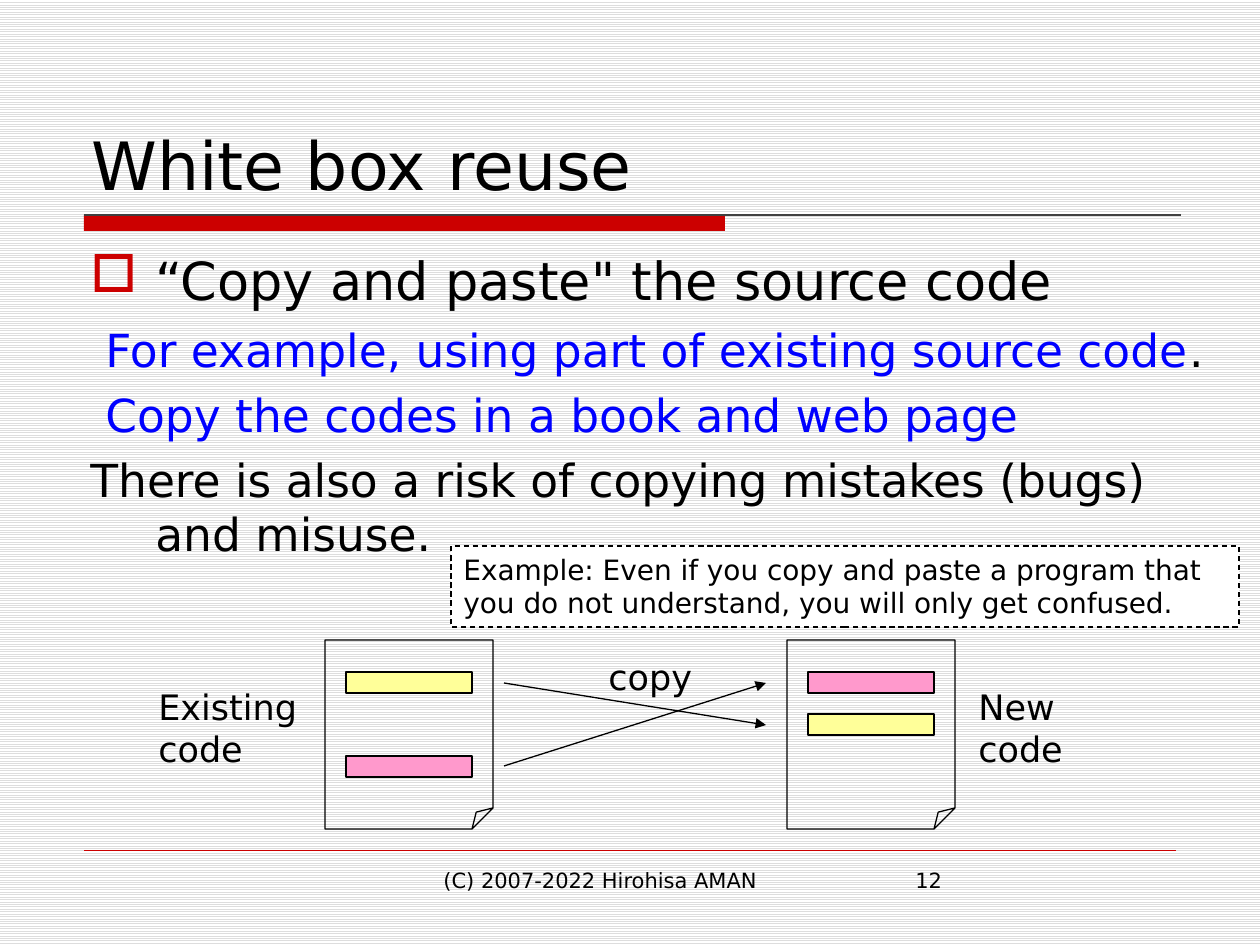
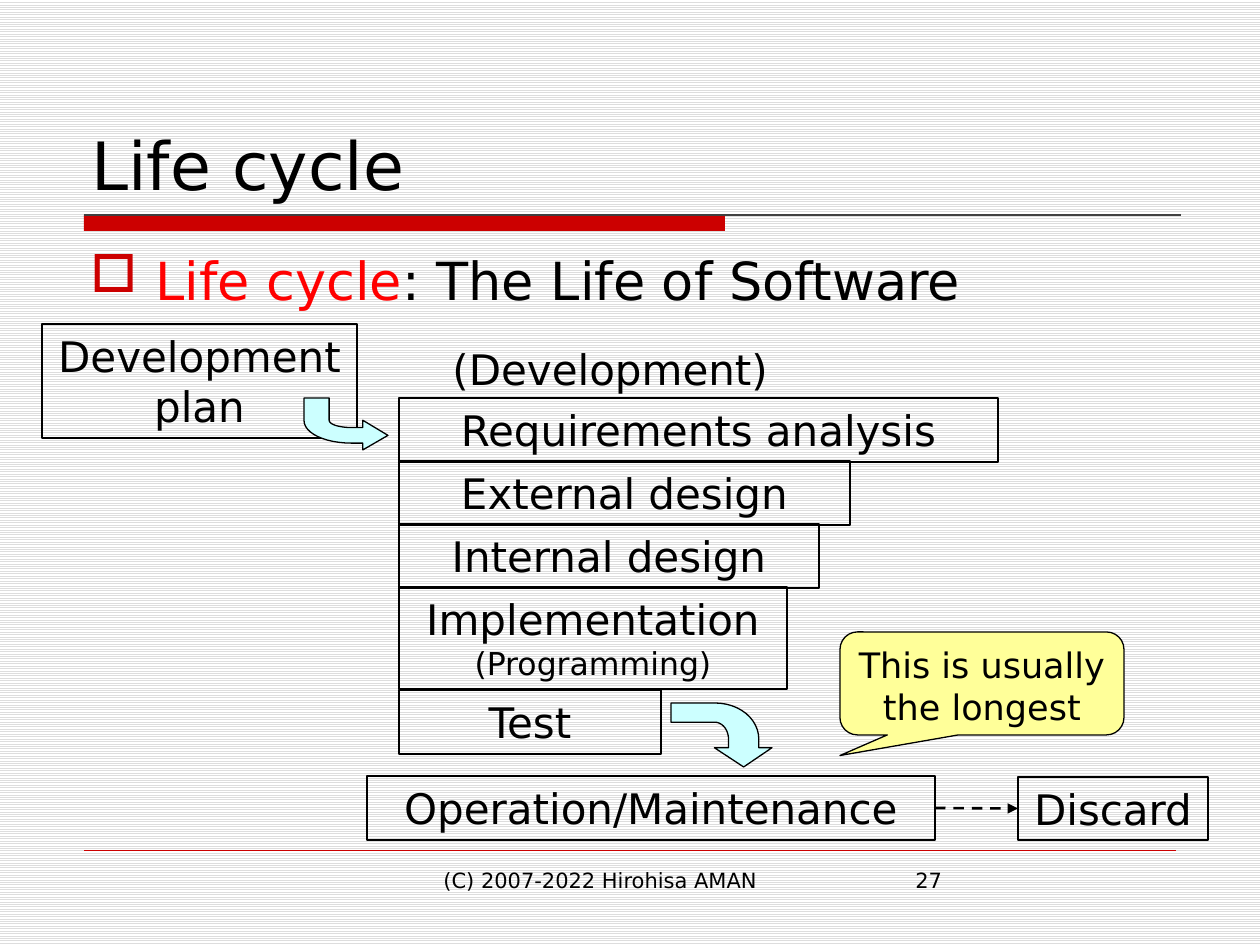
"""Build two lecture slides on code reuse and the software life cycle."""
import pptx
import pptx.util
import pptx.dml.color
import pptx.enum.dml
import pptx.enum.shapes
import pptx.enum.text
import pptx.oxml
import pptx.oxml.ns

RGB = pptx.dml.color.RGBColor
SHAPE = pptx.enum.shapes.MSO_SHAPE
ALIGN = pptx.enum.text.PP_ALIGN
ANCHOR = pptx.enum.text.MSO_ANCHOR
DASH = pptx.enum.dml.MSO_LINE.DASH

BLACK = RGB(0x00, 0x00, 0x00)
WHITE = RGB(0xFF, 0xFF, 0xFF)
STRIPE = RGB(0xDD, 0xDD, 0xDD)
RULE = RGB(0x40, 0x40, 0x40)
CRIMSON = RGB(0xCC, 0x00, 0x00)
RED = RGB(0xFF, 0x00, 0x00)
BLUE = RGB(0x00, 0x00, 0xFF)
YELLOW = RGB(0xFF, 0xFF, 0x99)
PINK = RGB(0xFF, 0x99, 0xCC)
CYAN = RGB(0xCC, 0xFF, 0xFF)

FONT = "DejaVu Sans"
SCALE = 914400 / 126
HANG = 65

REUSE_BODY = [
    {"runs": [("“Copy and paste\" the source code", BLACK)], "size": 30, "bullet": True},
    {"runs": [("For example, using part of existing source code", BLUE), (".", BLACK)],
     "size": 26, "start": 15},
    {"runs": [("Copy the codes in a book and web page", BLUE)], "size": 26, "start": 15},
    {"runs": [("There is also a risk of copying mistakes (bugs) and misuse.", BLACK)],
     "size": 26},
]
CYCLE_BODY = [
    {"runs": [("Life cycle", RED), (": The Life of Software", BLACK)], "size": 30,
     "bullet": True},
]

PAGE_TOP = 640
PAGES = [
    (325, [(32, YELLOW), (116, PINK)]),
    (787, [(32, PINK), (74, YELLOW)]),
]
COPY_ARROWS = [((504, 766), (766, 683)), ((504, 683), (766, 725))]
REUSE_LABELS = [
    (["Existing", "code"], (146, 679, 165, 97)),
    (["New", "code"], (966, 679, 112, 97)),
    (["copy"], (596, 649, 117, 54)),
]
WARNING = ("Example: Even if you copy and paste a program that you do not understand, "
           "you will only get confused.")

STAGE_LEFT = 399
STAGES = [
    (["Requirements analysis"], 398, 599, 64),
    (["External design"], 461, 451, 64),
    (["Internal design"], 524, 420, 64),
    (["Implementation", "(Programming)"], 587, 388, 102),
    (["Test"], 690, 262, 64),
]

OUTER_BEND = [(.87, .57), (.87, .25), (.68, 0), (.43, 0)]
INNER_BEND = [(.43, .3), (.51, .3), (.57, .42), (.57, .57)]


def px(n):
    return pptx.util.Emu(round(n * SCALE))


def style(p, size, color=BLACK):
    for r in p.runs:
        r.font.name = FONT
        r.font.size = pptx.util.Pt(size)
        r.font.color.rgb = color


def write(sp, lines, size, align=ALIGN.LEFT, wrap=True, anchor=ANCHOR.TOP):
    tf = sp.text_frame
    tf.word_wrap = wrap
    tf.vertical_anchor = anchor
    tf.text = "\n".join(lines)
    for p in tf.paragraphs:
        p.alignment = align
        style(p, size)


def text(s, lines, box, size, **options):
    sp = s.shapes.add_textbox(*map(px, box))
    write(sp, lines, size, **options)


def paint(sp, fill=None, line=BLACK):
    sp.shadow.inherit = False
    if fill is None:
        sp.fill.background()
    else:
        sp.fill.solid()
        sp.fill.fore_color.rgb = fill
    if line is None:
        sp.line.fill.background()
    else:
        sp.line.color.rgb = line
        sp.line.width = pptx.util.Pt(0.75)


def shape(s, kind, box, fill=None, line=BLACK):
    sp = s.shapes.add_shape(kind, *map(px, box))
    paint(sp, fill, line)
    return sp


def boxed(s, lines, box, size=24):
    sp = shape(s, SHAPE.RECTANGLE, box)
    write(sp, lines, size, align=ALIGN.CENTER)
    return sp


def element(tag, attributes="", inner=""):
    ns = pptx.oxml.ns.nsdecls("a")
    return pptx.oxml.parse_xml(f"<a:{tag} {ns} {attributes}>{inner}</a:{tag}>")


def connect(s, start, end, color=BLACK, width=0.75, arrow=False):
    cx = s.shapes.add_connector(pptx.enum.shapes.MSO_CONNECTOR.STRAIGHT,
                                *map(px, start + end))
    cx.line.color.rgb = color
    cx.line.width = pptx.util.Pt(width)
    spPr = cx._element.spPr
    if arrow:
        ln = spPr.find(pptx.oxml.ns.qn("a:ln"))
        ln.append(element("tailEnd", 'type="triangle"'))
    spPr.append(element("effectLst"))
    return cx


def body(s, paragraphs, width):
    tf = s.shapes.add_textbox(*map(px, (78, 242, width, 588))).text_frame
    tf.word_wrap = True
    for i, item in enumerate(paragraphs):
        p = tf.paragraphs[0] if i == 0 else tf.add_paragraph()
        p.space_before = pptx.util.Pt(6)
        for words, color in item["runs"]:
            r = p.add_run()
            r.text = words
            r.font.name = FONT
            r.font.size = pptx.util.Pt(item["size"])
            r.font.color.rgb = color
        pPr = p._p.get_or_add_pPr()
        pPr.set("marL", str(px(HANG)))
        pPr.set("indent", str(px(item.get("start", 0) - HANG)))
        if item.get("bullet"):
            pPr.append(element("buClr", inner=f'<a:srgbClr val="{CRIMSON}"/>'))
            pPr.append(element("buChar", 'char="□"'))


def bezier(points, steps=12):
    def at(t, k):
        a, b, c, d = (pt[k] for pt in points)
        u = 1 - t
        return u**3 * a + 3 * u * u * t * b + 3 * u * t * t * c + t**3 * d
    return [(at(i / steps, 0), at(i / steps, 1)) for i in range(steps + 1)]


def bent_arrow(s, box, downward):
    left, top, width, height = box
    outline = ([(.72, 1), (1, .7), (.87, .7)] + bezier(OUTER_BEND)
               + [(0, 0), (0, .3)] + bezier(INNER_BEND) + [(.57, .7), (.43, .7)])
    if not downward:
        outline = [(b, a) for a, b in outline]
    points = [(px(left + x * width), px(top + y * height)) for x, y in outline]
    builder = s.shapes.build_freeform(*points[0], scale=1.0)
    builder.add_line_segments(points[1:], close=True)
    paint(builder.convert_to_shape(), CYAN)


def base_slide(prs, title, number):
    s = prs.slides.add_slide(prs.slide_layouts[6])
    fill = s.background.fill
    fill.patterned()
    fill.pattern = pptx.enum.dml.MSO_PATTERN.LIGHT_HORIZONTAL
    fill.fore_color.rgb = STRIPE
    fill.back_color.rgb = WHITE
    shape(s, SHAPE.RECTANGLE, (84, 215, 641, 16), CRIMSON, None)
    connect(s, (84, 215), (1181, 215), RULE)
    connect(s, (84, 850), (1176, 850), CRIMSON, 0.25)
    text(s, ["(C) 2007-2022 Hirohisa AMAN"], (431, 861, 399, 66), 12)
    text(s, [str(number)], (903, 861, 273, 66), 12)
    text(s, [title], (79, 42, 1103, 168), 38, anchor=ANCHOR.BOTTOM)
    return s


def reuse_slide(prs):
    s = base_slide(prs, "White box reuse", 12)
    body(s, REUSE_BODY, 1150)
    for left, bars in PAGES:
        sp = shape(s, SHAPE.FOLDED_CORNER, (left, PAGE_TOP, 168, 189))
        guides = sp._element.spPr.find(".//" + pptx.oxml.ns.qn("a:avLst"))
        guides.append(element("gd", 'name="adj" fmla="val 12500"'))
        for offset, color in bars:
            shape(s, SHAPE.RECTANGLE, (left + 21, PAGE_TOP + offset, 126, 21), color)
    for start, end in COPY_ARROWS:
        connect(s, start, end, arrow=True)
    for lines, box in REUSE_LABELS:
        text(s, lines, box, 20, wrap=False)
    sp = shape(s, SHAPE.RECTANGLE, (451, 546, 788, 81), WHITE)
    sp.line.dash_style = DASH
    write(sp, [WARNING], 16)


def cycle_slide(prs):
    s = base_slide(prs, "Life cycle", 27)
    body(s, CYCLE_BODY, 1103)
    for lines, top, width, height in STAGES:
        sp = boxed(s, lines, (STAGE_LEFT, top, width, height))
        for p in sp.text_frame.paragraphs[1:]:
            style(p, 18)
    boxed(s, ["Development plan"], (42, 324, 315, 114))
    bent_arrow(s, (304, 398, 84, 52), downward=False)
    operation = boxed(s, ["Operation/Maintenance"], (367, 776, 568, 64))
    bent_arrow(s, (671, 703, 101, 64), downward=True)
    text(s, ["(Development)"], (440, 337, 346, 63), 24, wrap=False)
    discard = boxed(s, ["Discard"], (1018, 777, 190, 63))
    cx = connect(s, (935, 808), (1018, 808), width=1.5, arrow=True)
    cx.line.dash_style = DASH
    cx.begin_connect(operation, 3)
    cx.end_connect(discard, 1)
    sp = shape(s, SHAPE.ROUNDED_RECTANGULAR_CALLOUT, (840, 632, 284, 103), YELLOW)
    for i, value in enumerate((-0.5, 0.7, 0.17)):
        sp.adjustments[i] = value
    write(sp, ["This is usually the longest"], 20, align=ALIGN.CENTER)


def main():
    prs = pptx.Presentation()
    prs.slide_width = px(1260)
    prs.slide_height = px(945)
    reuse_slide(prs)
    cycle_slide(prs)
    prs.save("out.pptx")


if __name__ == "__main__":
    main()
